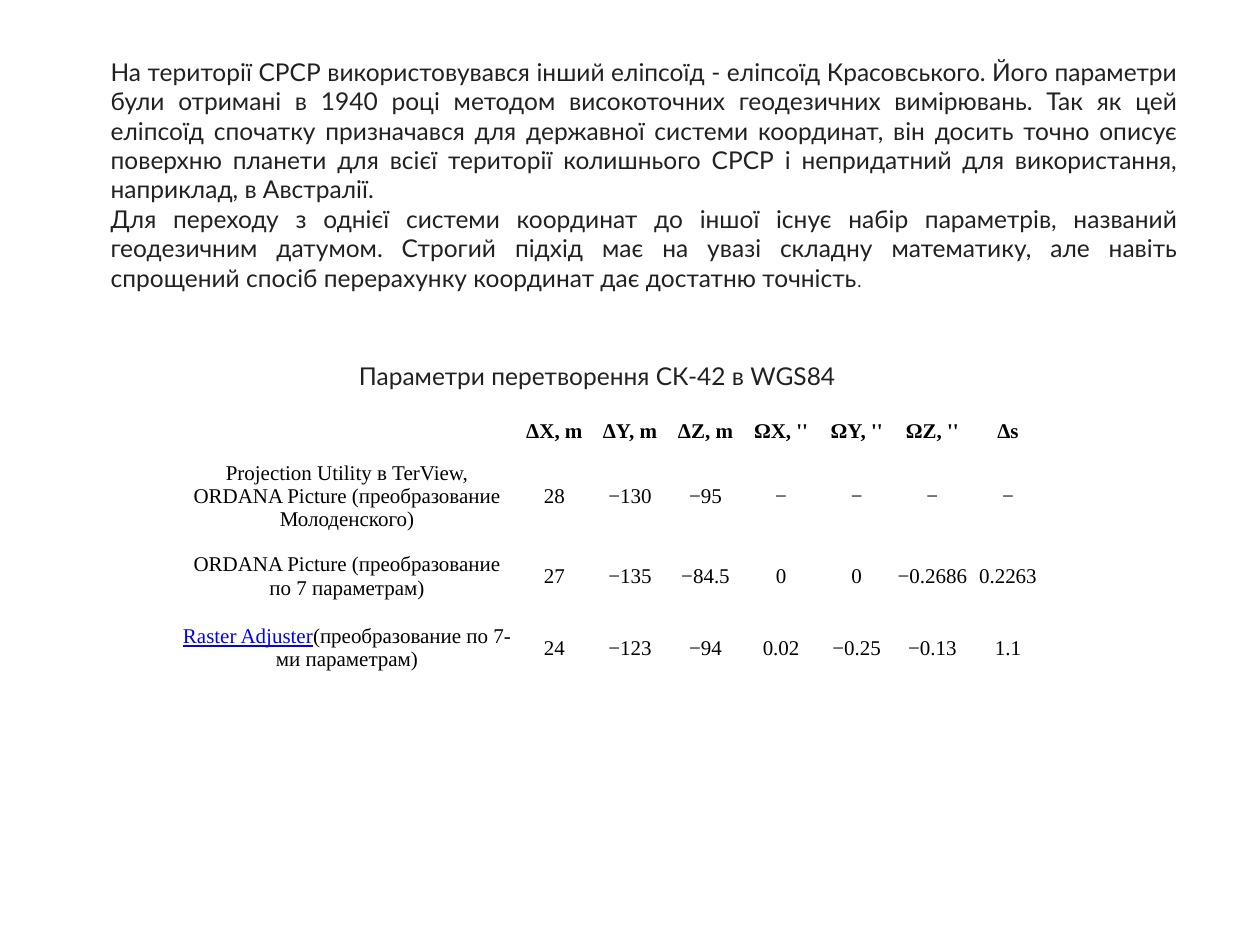
from pptx import Presentation
from pptx.dml.color import RGBColor
from pptx.enum.text import MSO_ANCHOR as Anchor, MSO_AUTO_SIZE as Auto, PP_ALIGN as Align
from pptx.util import Inches, Pt


def tint(code):
    return RGBColor.from_string(code)


class Page:
    sans, serif = "Lato", "Times New Roman"
    gray, black, blue, white = "212121", "000000", "0000FF", "FFFFFF"

    def __init__(self, slide):
        self.slide = slide

    def run(self, para, text, name, size, color, bold=False, line=False):
        run = para.add_run()
        run.text = text
        font = run.font
        font.name, font.size = name, Pt(size)
        font.bold, font.underline = bold, line
        font.color.rgb = tint(color)

    def box(self, place, paras, align, wrap=True):
        box = self.slide.shapes.add_textbox(*map(Inches, place))
        box.fill.solid()
        box.fill.fore_color.rgb = tint(self.white)
        frame = box.text_frame
        frame.word_wrap = wrap
        frame.auto_size = Auto.SHAPE_TO_FIT_TEXT
        frame.vertical_anchor = Anchor.MIDDLE
        frame.margin_bottom = 0
        for i, runs in enumerate(paras):
            para = frame.add_paragraph() if i else frame.paragraphs[0]
            para.alignment = align
            for text, size in runs:
                self.run(para, text, self.sans, size, self.gray)

    def cell(self, cell, runs, bold):
        cell.fill.solid()
        cell.fill.fore_color.rgb = tint(self.white)
        cell.vertical_anchor = Anchor.MIDDLE
        cell.margin_left = cell.margin_right = Inches(0.02)
        para = cell.text_frame.paragraphs[0]
        para.alignment = Align.CENTER
        for text, link in runs:
            color = self.blue if link else self.black
            self.run(para, text, self.serif, 12, color, bold, link)
        if not runs:
            para._p.get_or_add_endParaRPr().set("sz", "1200")

    def table(self, left, top, wide, high, rows):
        size = Inches(sum(wide)), Inches(sum(high))
        grid = self.slide.shapes.add_table(
            len(high), len(wide), Inches(left), Inches(top), *size).table
        grid.first_row = grid.horz_banding = False
        for col, width in zip(grid.columns, wide):
            col.width = Inches(width)
        for i, (row, height) in enumerate(zip(rows, high)):
            grid.rows[i].height = Inches(height)
            label, values = row
            cells = [label] + [[(value, False)] for value in values]
            for j, runs in enumerate(cells):
                self.cell(grid.cell(i, j), runs, i == 0)


BODY = [
    [("На території СРСР використовувався інший еліпсоїд - еліпсоїд Красовського. "
      "Його параметри були отримані в 1940 році методом високоточних геодезичних "
      "вимірювань. Так як цей еліпсоїд спочатку призначався для державної системи "
      "координат, він досить точно описує поверхню планети для всієї території "
      "колишнього СРСР і непридатний для використання, наприклад, в Австралії.", 14)],
    [("Для переходу з однієї системи координат до іншої існує набір параметрів, "
      "названий геодезичним датумом. Строгий підхід має на увазі складну математику, "
      "але навіть спрощений спосіб перерахунку координат дає достатню точність", 14),
     (".", 10)],
]
TITLE = [[("Параметри перетворення СК-42 в WGS84", 14)]]
ROWS = [
    ([], ["ΔX, m", "ΔY, m", "ΔZ, m", "ΩX, ''", "ΩY, ''", "ΩZ, ''", "Δs"]),
    ([("Projection Utility в TerView, ORDANA Picture (преобразование Молоденского)", False)],
     ["28", "−130", "−95", "−", "−", "−", "−"]),
    ([("ORDANA Picture (преобразование по 7 параметрам)", False)],
     ["27", "−135", "−84.5", "0", "0", "−0.2686", "0.2263"]),
    ([("Raster Adjuster", True), ("(преобразование по 7-ми параметрам)", False)],
     ["24", "−123", "−94", "0.02", "−0.25", "−0.13", "1.1"]),
]


def main():
    deck = Presentation()
    deck.slide_width, deck.slide_height = Inches(10), Inches(7.5)
    page = Page(deck.slides.add_slide(deck.slide_layouts[6]))
    page.box((0.78, 0.4, 8.67, 1.92), BODY, Align.JUSTIFY)
    page.table(1.41, 3.26, [2.69] + [0.6] * 7, [0.33, 0.64, 0.57, 0.57], ROWS)
    page.box((2.75, 2.81, 4.22, 0.29), TITLE, Align.LEFT, wrap=False)
    deck.save("out.pptx")


if __name__ == "__main__":
    main()
